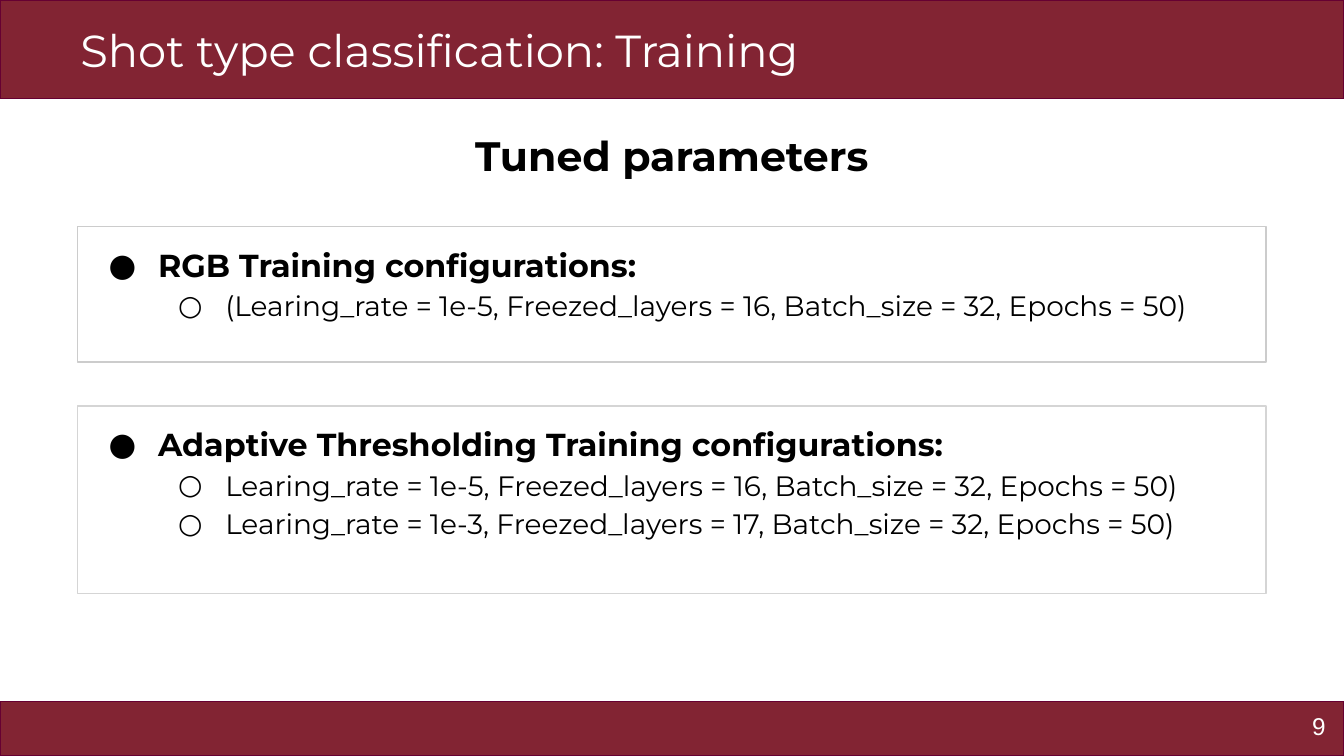
from pptx import Presentation
from pptx.dml.color import RGBColor
from pptx.enum import shapes, text
from pptx.oxml import ns
from pptx.util import Pt
from lxml import etree

MAROON = RGBColor(0x82, 0x24, 0x33)
PLUM = RGBColor(0x66, 0x00, 0x32)
BLACK = RGBColor(0, 0, 0)
WHITE = RGBColor(0xFF, 0xFF, 0xFF)
GREY = RGBColor(0xCC, 0xCC, 0xCC)
LIGHT_GREY = RGBColor(0xD5, 0xD5, 0xD5)


def set_frame(shape, anchor=text.MSO_ANCHOR.TOP):
    frame = shape.text_frame
    frame.word_wrap = True
    frame.vertical_anchor = anchor
    frame.margin_left = frame.margin_right = Pt(7.2)
    frame.margin_top = frame.margin_bottom = Pt(7.2)
    return frame


def add_run(paragraph, words, size, color, font="Montserrat", bold=False):
    run = paragraph.add_run()
    run.text = words
    run.font.name = font
    run.font.size = Pt(size)
    run.font.bold = bold
    run.font.color.rgb = color


presentation = Presentation()
presentation.slide_width = Pt(720)
presentation.slide_height = Pt(405)
slide = presentation.slides.add_slide(presentation.slide_layouts[6])

bars = []
for top, height in [(0, 52.7), (375.8, 29.2)]:
    bar = slide.shapes.add_shape(shapes.MSO_SHAPE.RECTANGLE, 0, Pt(top), Pt(720), Pt(height))
    bar.shadow.inherit = False
    bar.fill.solid()
    bar.fill.fore_color.rgb = MAROON
    bar.line.color.rgb = PLUM
    bar.line.width = Pt(0.75)
    bars.append(bar)

title = set_frame(bars[0], text.MSO_ANCHOR.MIDDLE).paragraphs[0]
title.alignment = text.PP_ALIGN.LEFT
add_run(title, "\t", 14, BLACK, "Arial")
add_run(title, "Shot type classification: Training", 24, WHITE)

number_box = slide.shapes.add_textbox(Pt(674), Pt(373.7), Pt(43.2), Pt(31))
number = set_frame(number_box).paragraphs[0]
number.alignment = text.PP_ALIGN.RIGHT
add_run(number, "9", 13, WHITE, "Arial")

cards = [
    (121.5, 72.5, GREY, "RGB Training configurations:", [
        "(Learing_rate = 1e-5, Freezed_layers = 16, Batch_size = 32, Epochs = 50)",
    ]),
    (217.5, 100.5, LIGHT_GREY, "Adaptive Thresholding Training configurations:", [
        "Learing_rate = 1e-5, Freezed_layers = 16, Batch_size = 32, Epochs = 50)",
        "Learing_rate = 1e-3, Freezed_layers = 17, Batch_size = 32, Epochs = 50)",
    ]),
]
for top, height, line_color, heading, settings in cards:
    card = slide.shapes.add_shape(shapes.MSO_SHAPE.RECTANGLE, Pt(41.6), Pt(top), Pt(636.6), Pt(height))
    card.shadow.inherit = False
    card.fill.background()
    card.line.color.rgb = line_color
    card.line.width = Pt(0.75)
    frame = set_frame(card)
    for index, words in enumerate([heading, *settings]):
        paragraph = frame.add_paragraph() if index else frame.paragraphs[0]
        level = 1 if index else 0
        paragraph.level = level
        paragraph.alignment = text.PP_ALIGN.LEFT
        paragraph.line_spacing = 1.15
        properties = paragraph._p.get_or_add_pPr()
        properties.set("marL", str(Pt(36 * (level + 1))))
        properties.set("indent", str(Pt((-26.5, -25.2)[level])))
        bullet_color = etree.SubElement(properties, ns.qn("a:buClr"))
        etree.SubElement(bullet_color, ns.qn("a:srgbClr"), val=str(BLACK))
        etree.SubElement(properties, ns.qn("a:buFont"), typeface="Montserrat")
        etree.SubElement(properties, ns.qn("a:buChar"), char="●○"[level])
        add_run(paragraph, words, (17, 15)[level], BLACK, bold=level == 0)

subtitle_box = slide.shapes.add_textbox(Pt(156.2), Pt(59), Pt(407.5), Pt(41))
subtitle = set_frame(subtitle_box).paragraphs[0]
subtitle.alignment = text.PP_ALIGN.CENTER
subtitle.line_spacing = 1.15
add_run(subtitle, "Tuned parameters", 22, BLACK, bold=True)

presentation.save("out.pptx")
